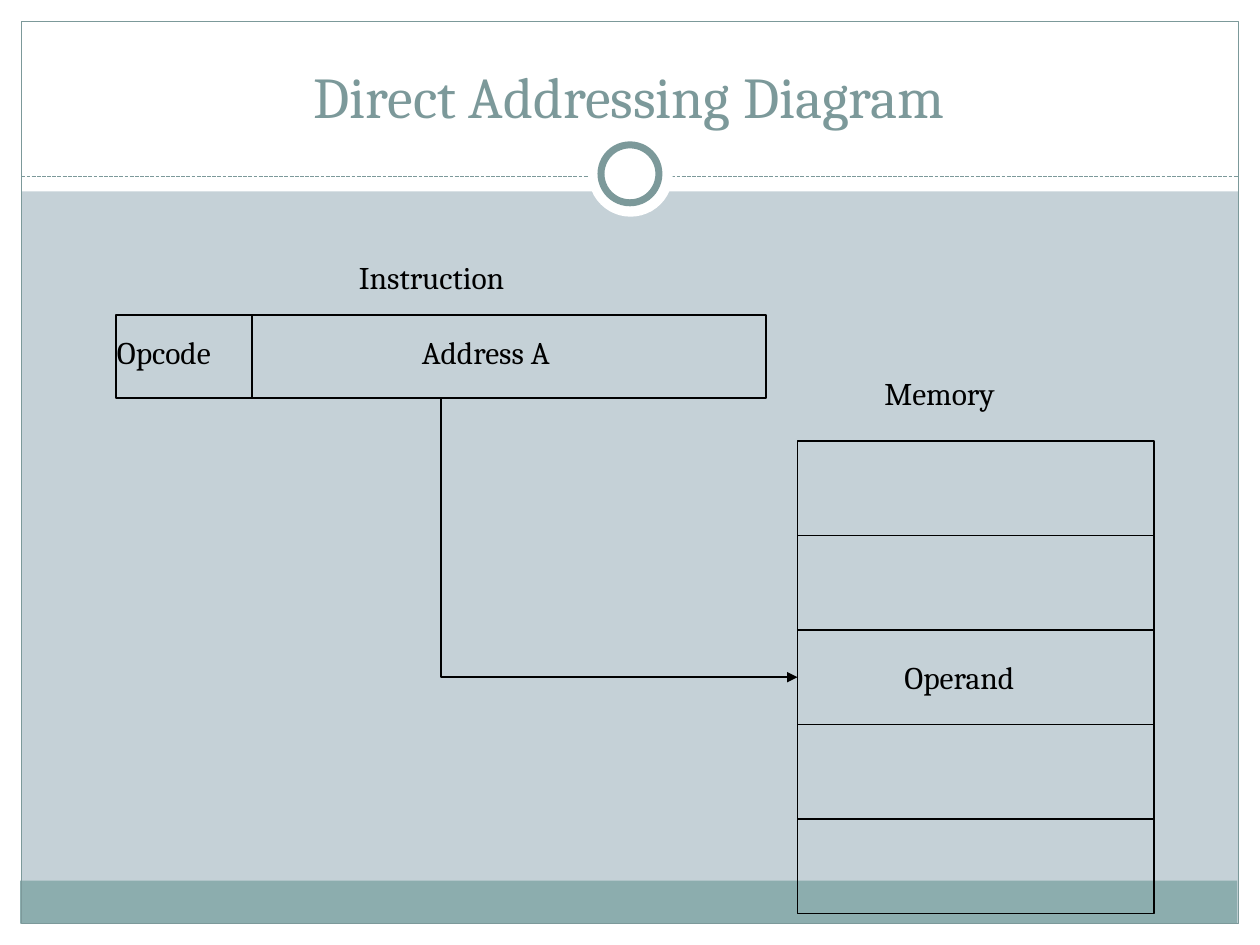
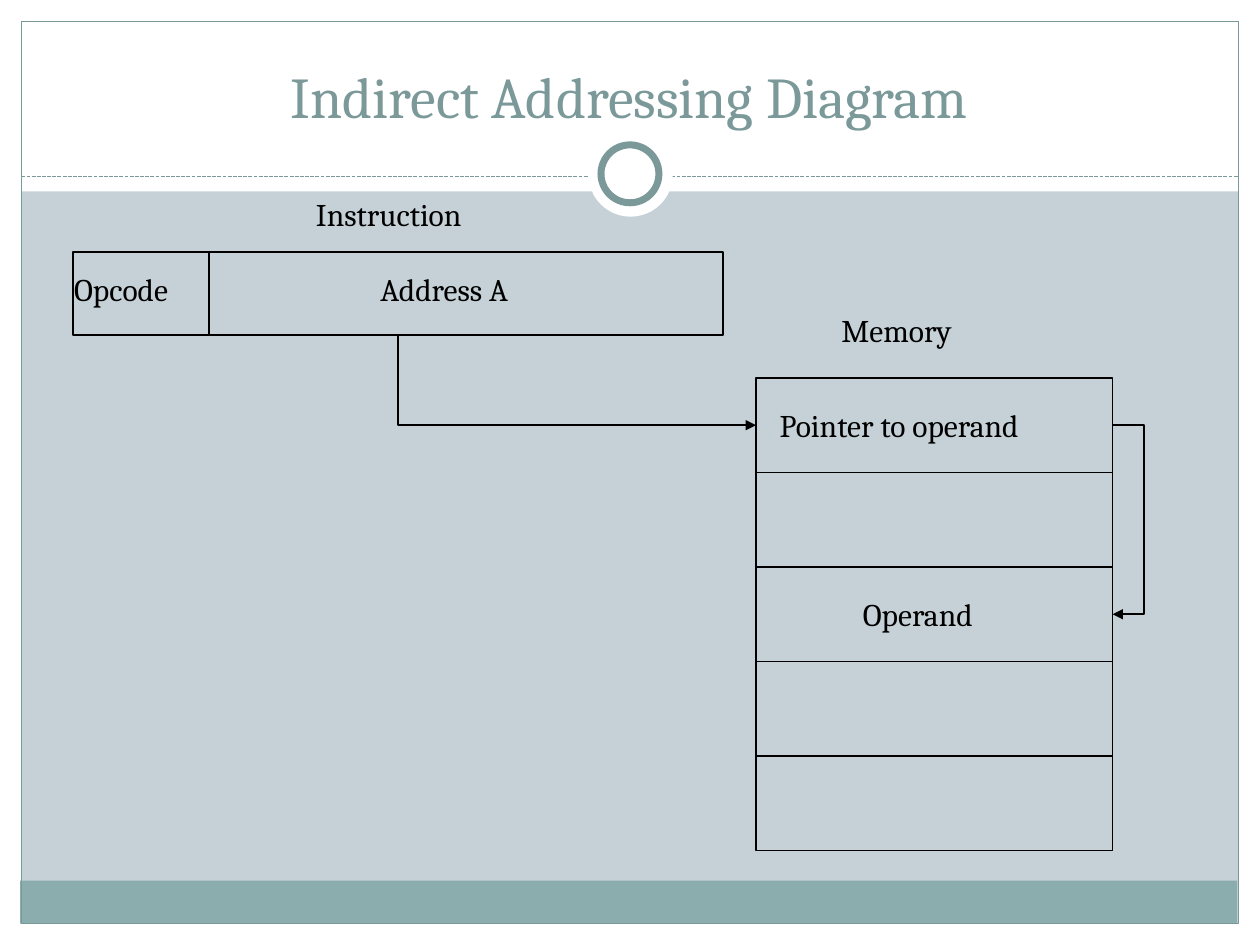
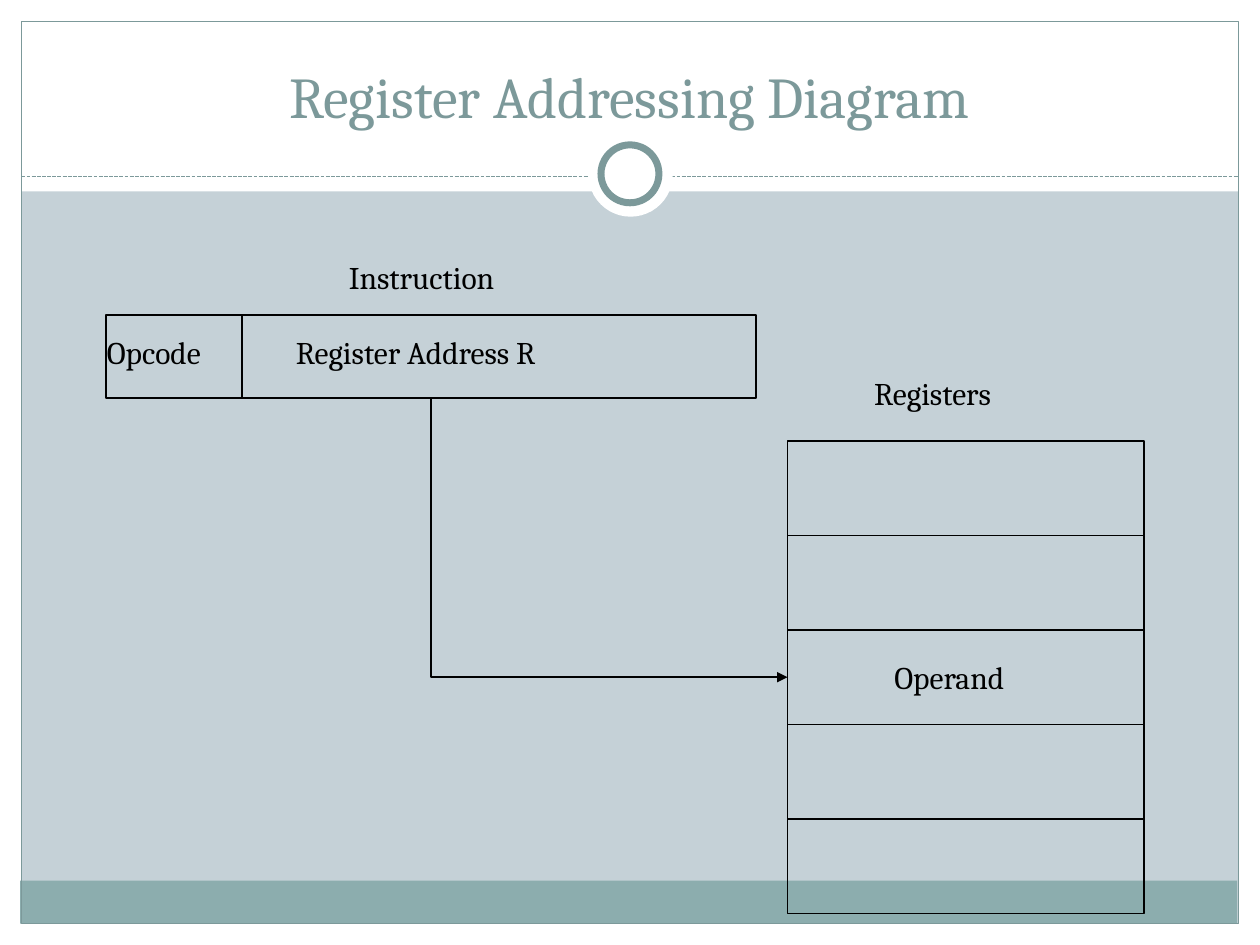
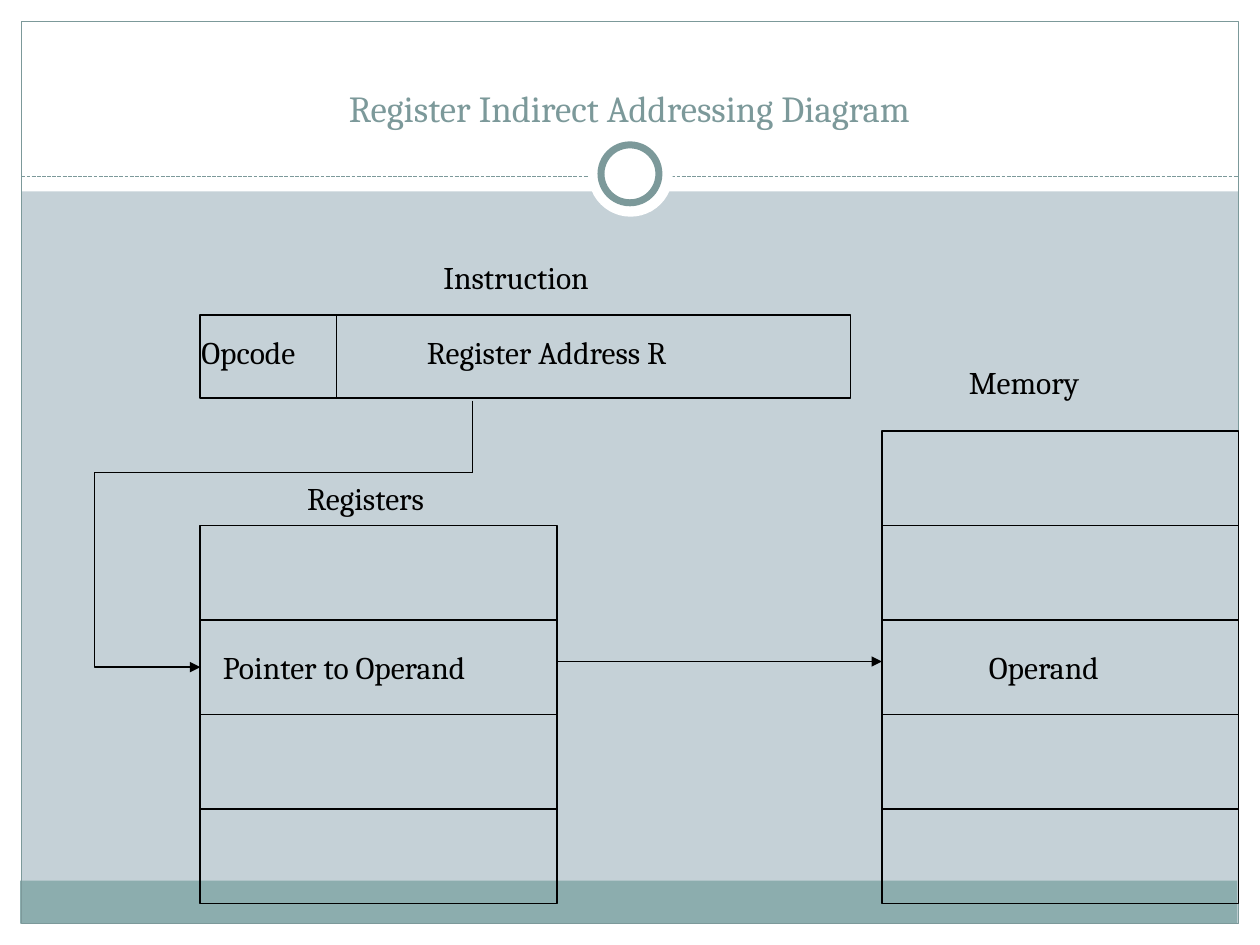
from dataclasses import dataclass

from lxml import etree
from pptx import Presentation
from pptx.dml.color import RGBColor
from pptx.enum.dml import MSO_LINE
from pptx.enum.shapes import MSO_CONNECTOR, MSO_SHAPE
from pptx.enum.text import MSO_ANCHOR, MSO_AUTO_SIZE, PP_ALIGN
from pptx.oxml.ns import qn
from pptx.util import Inches, Pt


@dataclass(frozen=True)
class Theme:
    background: str = "C5D1D7"
    paper: str = "FFFFFF"
    band: str = "8CADAE"
    accent: str = "7C999A"
    ink: str = "000000"
    font: str = "Cambria"
    title: int = 33
    small_title: int = 21
    body: int = 18
    hairline: float = 0.75
    rule: float = 1
    ring: float = 4


T = Theme()

# Instruction bar and memory cells, in inches
BAR_W, BAR_H, OPCODE_W = 5.16, 0.66, 1.08
CELL_W, CELL_H = 2.83, 0.75
LABEL_H = 0.5
LABEL_W = {
    "Instruction": 1.64, "Opcode": 1.23, "Address A": 1.62,
    "Register Address R": 2.79, "Memory": 1.35, "Registers": 1.44,
    "Operand": 1.35, "Pointer to operand": 2.66, "Pointer to Operand": 2.73,
}

# Frame: kind, (left, top, width, height), fill, line colour, line width
FRAME = [
    (MSO_SHAPE.RECTANGLE, (0, 7.33, 10, 0.17), T.paper, None, None),
    (MSO_SHAPE.RECTANGLE, (0, 0, 10, 1.52), T.paper, None, None),
    (MSO_SHAPE.RECTANGLE, (0, 0, 0.17, 7.5), T.paper, None, None),
    (MSO_SHAPE.RECTANGLE, (9.83, 0, 0.17, 7.5), T.paper, None, None),
    (MSO_SHAPE.RECTANGLE, (0.16, 6.99, 9.66, 0.34), T.band, None, None),
    (MSO_SHAPE.RECTANGLE, (0.17, 0.17, 9.66, 7.16), None, T.accent, T.hairline),
]
RING = [
    (MSO_SHAPE.OVAL, (4.67, 1.05, 0.67, 0.67), T.paper, None, None),
    (MSO_SHAPE.OVAL, (4.77, 1.15, 0.46, 0.46), T.paper, T.accent, T.ring),
]

# bar: left, top; address: text, distance from the bar's left
# stacks: left, top, cell count, heading, heading offset, {row: (text, offset)}
# direct: row of the first stack that the address points to
DIAGRAMS = [
    dict(title="Direct Addressing Diagram", size=T.title,
         bar=(0.92, 2.5), address=("Address A", 2.33), direct=2,
         stacks=[(6.33, 3.5, 5, "Memory", (0.59, -0.58), {2: ("Operand", 0.75)})]),
    dict(title="Indirect Addressing Diagram", size=T.title,
         bar=(0.58, 2), address=("Address A", 2.34), direct=0,
         stacks=[(6, 3, 5, "Memory", (0.58, -0.58),
                  {0: ("Pointer to operand", 0.09), 2: ("Operand", 0.75)})]),
    dict(title="Register Addressing Diagram", size=T.title,
         bar=(0.84, 2.5), address=("Register Address R", 1.41), direct=2,
         stacks=[(6.25, 3.5, 5, "Registers", (0.59, -0.58), {2: ("Operand", 0.75)})]),
    dict(title="Register Indirect Addressing Diagram", size=T.small_title,
         bar=(1.59, 2.5), address=("Register Address R", 1.7), direct=None,
         stacks=[(7, 3.42, 5, "Memory", (0.59, -0.59), {2: ("Operand", 0.75)}),
                 (1.59, 4.17, 4, "Registers", (0.75, -0.42),
                  {1: ("Pointer to Operand", 0.08)})]),
]


def rgb(value):
    return RGBColor.from_string(value)


def style_line(sp, color=T.ink, width=T.rule, arrow=False):
    sp.line.color.rgb = rgb(color)
    sp.line.width = Pt(width)
    if arrow:
        ln = sp.element.spPr.find(qn("a:ln"))
        etree.SubElement(ln, qn("a:tailEnd"), type="triangle")


def add_box(shapes, kind, box, fill=None, line=None, width=T.rule):
    sp = shapes.add_shape(kind, *map(Inches, box))
    sp.shadow.inherit = False
    if fill:
        sp.fill.solid()
        sp.fill.fore_color.rgb = rgb(fill)
    else:
        sp.fill.background()
    if line:
        style_line(sp, line, width)
    else:
        sp.line.fill.background()
    return sp


def add_line(shapes, start, end, color=T.ink, width=T.rule, arrow=False):
    cx = shapes.add_connector(MSO_CONNECTOR.STRAIGHT, *map(Inches, (*start, *end)))
    style_line(cx, color, width, arrow)
    etree.SubElement(cx.element.spPr, qn("a:effectLst"))
    return cx


def add_elbow(shapes, points):
    """Draw an open path of straight segments that ends in an arrowhead."""
    start, *rest = [(Inches(x), Inches(y)) for x, y in points]
    builder = shapes.build_freeform(*start)
    builder.add_line_segments(rest, close=False)
    sp = builder.convert_to_shape()
    sp.shadow.inherit = False
    sp.fill.background()
    style_line(sp, arrow=True)


def add_run(p, text, size, color):
    r = p.add_run()
    r.text = text
    r.font.name = T.font
    r.font.size = Pt(size)
    r.font.color.rgb = rgb(color)


def add_label(shapes, text, x, y):
    tf = shapes.add_textbox(*map(Inches, (x, y, LABEL_W[text], LABEL_H))).text_frame
    tf.word_wrap = False
    tf.auto_size = MSO_AUTO_SIZE.SHAPE_TO_FIT_TEXT
    add_run(tf.paragraphs[0], text, T.body, T.ink)


def set_title(s, text, size):
    title = s.shapes.title
    title.left, title.top, title.width, title.height = map(Inches, (0.33, 0.25, 9.33, 0.83))
    tf = title.text_frame
    tf.word_wrap = True
    tf.auto_size = MSO_AUTO_SIZE.NONE
    tf.vertical_anchor = MSO_ANCHOR.BOTTOM
    p = tf.paragraphs[0]
    p.alignment = PP_ALIGN.CENTER
    add_run(p, text, size, T.accent)


def move_frame_to_layout(s, layout):
    """Draw the shared frame on a slide, then hand its parts to the layout."""
    layout.background.fill.solid()
    layout.background.fill.fore_color.rgb = rgb(T.background)
    parts = [add_box(s.shapes, *part) for part in FRAME]
    dashes = add_line(s.shapes, (0.17, 1.4), (9.83, 1.4), T.accent, T.hairline)
    dashes.line.dash_style = MSO_LINE.SQUARE_DOT
    parts.append(dashes)
    parts += [add_box(s.shapes, *part) for part in RING]
    for i, part in enumerate(parts):
        layout.shapes.element.insert(2 + i, part.element)


def add_instruction(shapes, bar, address):
    x, y = bar
    text, dx = address
    group = shapes.add_group_shape().shapes
    add_box(group, MSO_SHAPE.RECTANGLE, (x, y, BAR_W, BAR_H), line=T.ink)
    add_line(group, (x + OPCODE_W, y + 0.01), (x + OPCODE_W, y + BAR_H))
    add_label(shapes, text, x + dx, y + 0.09)
    add_label(shapes, "Opcode", x - 0.09, y + 0.09)
    add_label(shapes, "Instruction", x + 1.83, y - 0.5)


def add_stack(shapes, x, y, count, heading, offset, rows):
    for i in range(count):
        add_box(shapes, MSO_SHAPE.RECTANGLE, (x, y + i * CELL_H, CELL_W, CELL_H), line=T.ink)
    add_label(shapes, heading, x + offset[0], y + offset[1])
    for i, (text, dx) in rows.items():
        add_label(shapes, text, x + dx, y + i * CELL_H + 0.17)


def row_middle(stack, row):
    return stack[1] + (row + 0.5) * CELL_H


def add_direct_arrow(shapes, bar, stack, row):
    x, y = bar[0] + BAR_W / 2, row_middle(stack, row)
    add_elbow(shapes, [(x, bar[1] + BAR_H), (x, y), (stack[0], y)])


def add_pointer_arrow(shapes, stack):
    """Lead from the pointer in row 0 around the right side to row 2."""
    right = stack[0] + CELL_W
    top, bottom = row_middle(stack, 0), row_middle(stack, 2)
    add_elbow(shapes, [(right, top), (right + 0.25, top),
                       (right + 0.25, bottom), (right, bottom)])


def add_register_route(shapes, memory, registers):
    """Lead from the address to the register, and from there to memory."""
    turn_x, turn_y, left = 3.75, 3.75, 0.75
    y = row_middle(registers, 1)
    add_line(shapes, (turn_x, 3.18), (turn_x, turn_y))
    add_line(shapes, (turn_x, turn_y), (left, turn_y))
    add_elbow(shapes, [(left, turn_y), (left, y), (registers[0], y)])
    add_line(shapes, (registers[0] + CELL_W, 5.25), (memory[0], 5.25),
             width=T.hairline, arrow=True)


def main():
    prs = Presentation()
    prs.slide_width, prs.slide_height = Inches(10), Inches(7.5)
    layout = prs.slide_layouts[5]
    for i, d in enumerate(DIAGRAMS):
        s = prs.slides.add_slide(layout)
        if i == 0:
            move_frame_to_layout(s, layout)
        set_title(s, d["title"], d["size"])
        add_instruction(s.shapes, d["bar"], d["address"])
        stacks = d["stacks"]
        for stack in stacks:
            add_stack(s.shapes, *stack)
        if d["direct"] is None:
            add_register_route(s.shapes, *stacks)
        else:
            add_direct_arrow(s.shapes, d["bar"], stacks[0], d["direct"])
        if d["direct"] == 0:
            add_pointer_arrow(s.shapes, stacks[0])
    prs.save("out.pptx")


if __name__ == "__main__":
    main()
